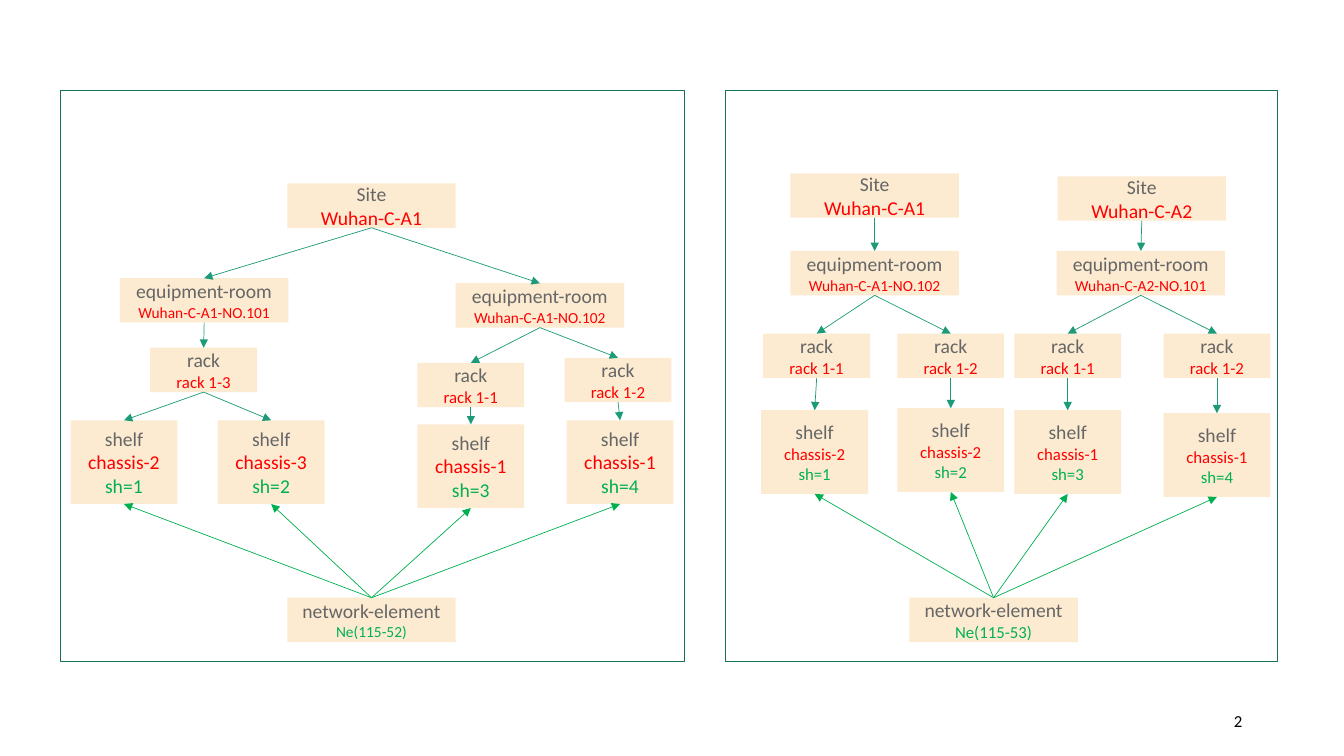
from dataclasses import dataclass

from lxml import etree
from pptx import Presentation
from pptx.dml.color import RGBColor
from pptx.enum.shapes import MSO_CONNECTOR, MSO_SHAPE
from pptx.enum.text import MSO_ANCHOR, PP_ALIGN
from pptx.oxml.ns import qn
from pptx.shapes.autoshape import Shape
from pptx.slide import Slide
from pptx.util import Inches, Pt

RECT = MSO_SHAPE.RECTANGLE
STRAIGHT = MSO_CONNECTOR.STRAIGHT
MIDDLE = MSO_ANCHOR.MIDDLE
CENTER = PP_ALIGN.CENTER
RIGHT = PP_ALIGN.RIGHT
TOP_SIDE, BOTTOM_SIDE = 0, 2


@dataclass(frozen=True)
class Theme:
    font: str = "Calibri"
    box: str = "FCEBD1"
    label: str = "666666"
    location: str = "FF0000"
    network: str = "00B050"
    hierarchy: str = "1D9A78"
    frame: str = "157259"
    number: str = "000000"
    line: float = 0.5
    large: int = 14
    medium: int = 12
    small: int = 11


@dataclass(frozen=True)
class Kind:
    label: str
    width: float
    height: float = 0.44


@dataclass(frozen=True)
class Node:
    kind: Kind
    left: float
    top: float
    detail: str
    size: int
    children: tuple["Node", ...] = ()


@dataclass(frozen=True)
class Panel:
    left: float
    width: float
    sites: tuple[Node, ...]
    element: Node


THEME = Theme()
LARGE, MEDIUM, SMALL = THEME.large, THEME.medium, THEME.small
SITE = Kind("Site", 1.67)
ROOM = Kind("equipment-room", 1.67)
RACK = Kind("rack", 1.06)
SHELF = Kind("shelf", 1.06, 0.83)
ELEMENT = Kind("network-element", 1.67)
PANEL_TOP, PANEL_HEIGHT = 0.9, 5.66
ELEMENT_TOP = 5.93

PANELS = (
    Panel(7.19, 5.48, (
        Node(SITE, 7.84, 1.72, "Wuhan-C-A1", LARGE, (
            Node(ROOM, 7.84, 2.49, "Wuhan-C-A1-NO.102", SMALL, (
                Node(RACK, 7.57, 3.31, "rack 1-1", MEDIUM, (
                    Node(SHELF, 7.55, 4.07, "chassis-2", MEDIUM),)),
                Node(RACK, 8.9, 3.31, "rack 1-2", MEDIUM, (
                    Node(SHELF, 8.9, 4.05, "chassis-2", MEDIUM),)),
            )),
        )),
        Node(SITE, 10.49, 1.75, "Wuhan-C-A2", LARGE, (
            Node(ROOM, 10.48, 2.49, "Wuhan-C-A2-NO.101", SMALL, (
                Node(RACK, 10.06, 3.31, "rack 1-1", MEDIUM, (
                    Node(SHELF, 10.06, 4.07, "chassis-1", MEDIUM),)),
                Node(RACK, 11.54, 3.31, "rack 1-2", MEDIUM, (
                    Node(SHELF, 11.54, 4.1, "chassis-1", MEDIUM),)),
            )),
        )),
    ), Node(ELEMENT, 9.02, ELEMENT_TOP, "Ne(115-53)", MEDIUM)),
    Panel(0.6, 6.19, (
        Node(SITE, 2.85, 1.82, "Wuhan-C-A1", LARGE, (
            Node(ROOM, 1.19, 2.76, "Wuhan-C-A1-NO.101", SMALL, (
                Node(RACK, 1.49, 3.45, "rack 1-3", MEDIUM, (
                    Node(SHELF, 0.7, 4.17, "chassis-2", LARGE),
                    Node(SHELF, 2.16, 4.17, "chassis-3", LARGE),
                )),
            )),
            Node(ROOM, 4.52, 2.81, "Wuhan-C-A1-NO.102", SMALL, (
                Node(RACK, 4.14, 3.6, "rack 1-1", MEDIUM, (
                    Node(SHELF, 4.14, 4.21, "chassis-1", LARGE),)),
                Node(RACK, 5.6, 3.55, "rack 1-2", MEDIUM, (
                    Node(SHELF, 5.62, 4.17, "chassis-1", LARGE),)),
            )),
        )),
    ), Node(ELEMENT, 2.85, ELEMENT_TOP, "Ne(115-52)", SMALL)),
)


def rgb(color: str) -> RGBColor:
    return RGBColor.from_string(color)


def write(sp: Shape, lines: list[tuple[str, int, str]], align: PP_ALIGN) -> None:
    tf = sp.text_frame
    tf.word_wrap = True
    tf.vertical_anchor = MIDDLE
    tf.text = "\n".join(text for text, _, _ in lines)
    for p, (_, size, color) in zip(tf.paragraphs, lines):
        p.alignment = align
        font = p.runs[0].font
        font.name = THEME.font
        font.size = Pt(size)
        font.color.rgb = rgb(color)


def add_frame(s: Slide, panel: Panel) -> None:
    sp = s.shapes.add_shape(RECT, Inches(panel.left), Inches(PANEL_TOP),
                            Inches(panel.width), Inches(PANEL_HEIGHT))
    sp.shadow.inherit = False
    sp.fill.background()
    sp.line.color.rgb = rgb(THEME.frame)
    sp.line.width = Pt(THEME.line)


def add_box(s: Slide, node: Node, shelf_number: int) -> Shape:
    kind = node.kind
    sp = s.shapes.add_shape(RECT, Inches(node.left), Inches(node.top),
                            Inches(kind.width), Inches(kind.height))
    sp.shadow.inherit = False
    sp.fill.solid()
    sp.fill.fore_color.rgb = rgb(THEME.box)
    sp.line.fill.background()
    tf = sp.text_frame
    tf.margin_left = tf.margin_right = tf.margin_top = tf.margin_bottom = 0
    detail_color = THEME.network if kind is ELEMENT else THEME.location
    lines = [(kind.label, LARGE, THEME.label), (node.detail, node.size, detail_color)]
    if kind is SHELF:
        lines.append((f"sh={shelf_number}", node.size, THEME.network))
    write(sp, lines, CENTER)
    return sp


def add_arrow(s: Slide, start: Shape, start_side: int,
              end: Shape, end_side: int, color: str) -> None:
    line = s.shapes.add_connector(STRAIGHT, 0, 0, 0, 0)
    line.begin_connect(start, start_side)
    line.end_connect(end, end_side)
    line.line.color.rgb = rgb(color)
    line.line.width = Pt(THEME.line)
    etree.SubElement(line.line._get_or_add_ln(), qn("a:tailEnd"), type="triangle")
    etree.SubElement(line._element.spPr, qn("a:effectLst"))


def add_branch(s: Slide, node: Node, shelves: list[Shape]) -> Shape:
    sp = add_box(s, node, len(shelves) + 1)
    if node.kind is SHELF:
        shelves.append(sp)
    for child in node.children:
        child_sp = add_branch(s, child, shelves)
        add_arrow(s, sp, BOTTOM_SIDE, child_sp, TOP_SIDE, THEME.hierarchy)
    return sp


def add_panel(s: Slide, panel: Panel) -> None:
    add_frame(s, panel)
    shelves: list[Shape] = []
    for site in panel.sites:
        add_branch(s, site, shelves)
    element = add_box(s, panel.element, 0)
    for shelf in shelves:
        add_arrow(s, element, TOP_SIDE, shelf, BOTTOM_SIDE, THEME.network)


def main() -> None:
    prs = Presentation()
    prs.slide_width = Inches(13.33)
    prs.slide_height = Inches(7.5)
    s = prs.slides.add_slide(prs.slide_layouts[6])
    number = s.shapes.add_textbox(Inches(9.42), Inches(6.95), Inches(3), Inches(0.4))
    write(number, [("2", MEDIUM, THEME.number)], RIGHT)
    for panel in PANELS:
        add_panel(s, panel)
    prs.save("out.pptx")


if __name__ == "__main__":
    main()
